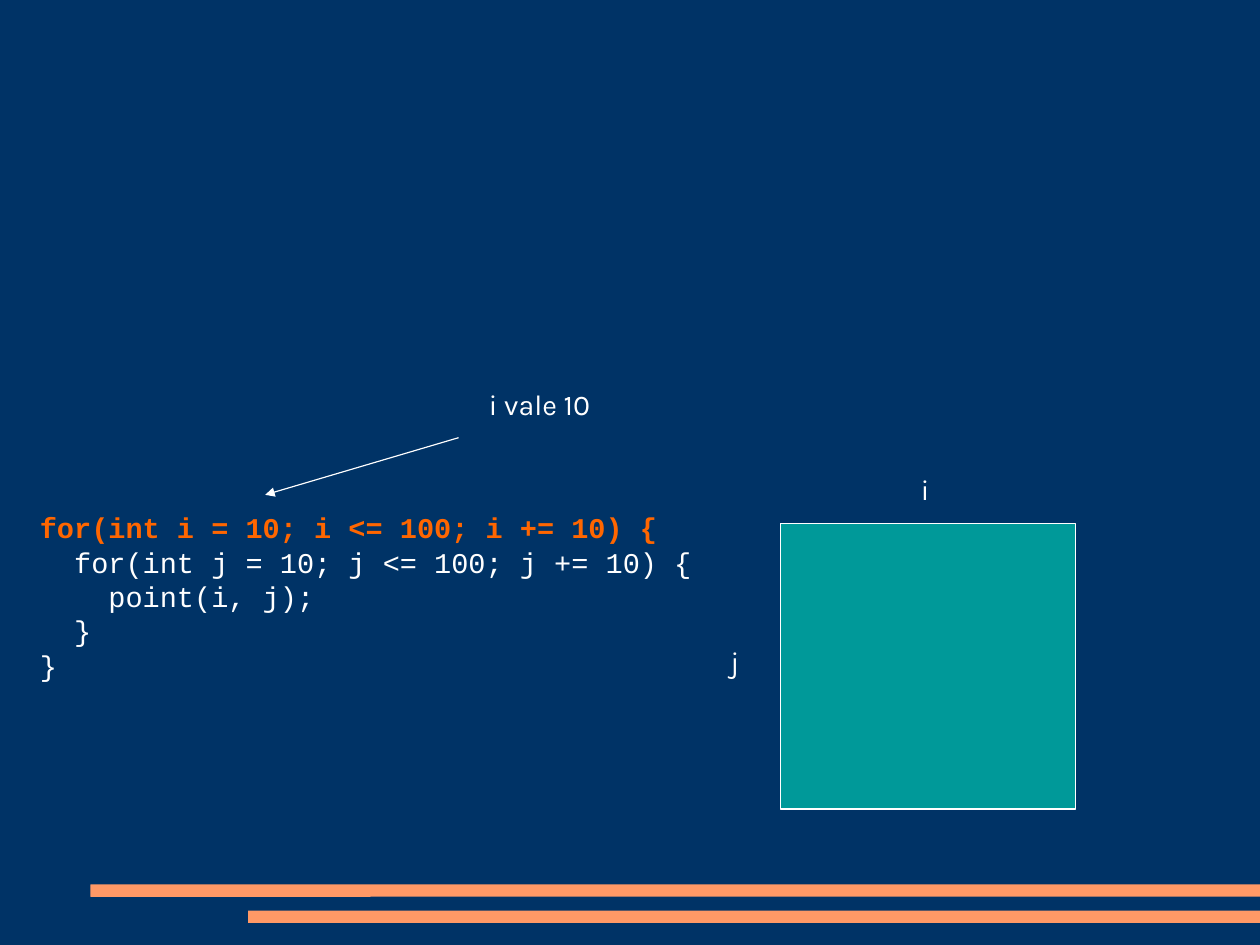
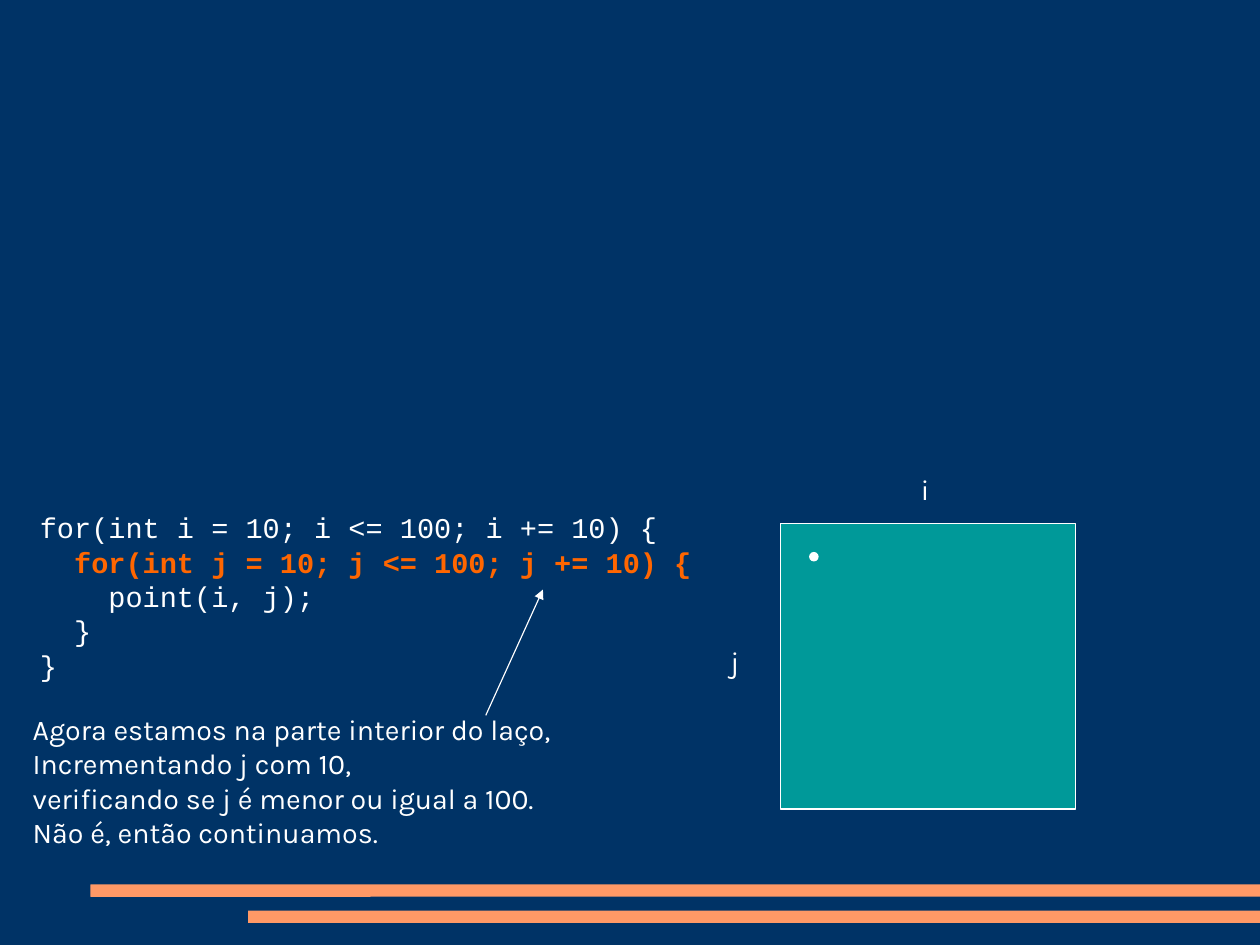
from dataclasses import dataclass

import pptx
import pptx.dml.color
import pptx.enum.shapes
import pptx.oxml
import pptx.oxml.ns
import pptx.util

SHAPE = pptx.enum.shapes.MSO_SHAPE


@dataclass(frozen=True)
class Theme:
    background: str = "003366"
    band: str = "FF9966"
    text: str = "FFFFFF"
    highlight: str = "FF6600"
    canvas: str = "009999"
    code_font: str = "Courier New"
    body_font: str = "Karla"
    size: int = 18
    line: float = 0.75


theme = Theme()
color = pptx.dml.color.RGBColor.from_string
CELL = pptx.util.Inches(1) / 12  # twelve grid columns or rows to the inch


def cells(*counts):
    """Turn counts of grid columns or rows into slide lengths."""
    return [round(count * CELL) for count in counts]


def add_text(slide, area, lines, face, highlighted=None):
    """Write one paragraph a line; the highlighted line is bold and orange."""
    frame = slide.shapes.add_textbox(*cells(*area)).text_frame
    frame.word_wrap = True
    frame.text = "\n".join(lines)
    for number, paragraph in enumerate(frame.paragraphs):
        marked = number == highlighted
        paragraph.font.name = face
        paragraph.font.size = pptx.util.Pt(theme.size)
        paragraph.font.bold = marked
        paragraph.font.color.rgb = color(theme.highlight if marked else theme.text)


code = [
    "for(int i = 10; i <= 100; i += 10) {",
    "  for(int j = 10; j <= 100; j += 10) {",
    "    point(i, j);",
    "  }",
    "}",
]
axes = {"i": (95.5, 49, 4.2, 4.8), "j": (75.5, 67, 4.2, 4.8)}
canvas_left, canvas_top = 81.95, 54.95

steps = [
    {
        "highlighted": 0,
        "note": ["i vale 10"],
        "note_area": (50.15, 40, 18.6, 4.8),
        "arrow": (48.15, 45.95, 27.85, 51.95),
        "points": [],
    },
    {
        "highlighted": 1,
        "note": [
            "Agora estamos na parte interior do laço,",
            "Incrementando j com 10,",
            "verificando se j é menor ou igual a 100.",
            "Não é, então continuamos.",
        ],
        "note_area": (2.25, 74.15, 76.4, 15.6),
        "arrow": (51, 75.1, 57, 61.9),
        "points": [(3, 3)],
    },
]

deck = pptx.Presentation()
deck.slide_width, deck.slide_height = pptx.util.Cm(28), pptx.util.Cm(21)
columns = deck.slide_width / CELL
master = deck.slide_master
master.background.fill.solid()
master.background.fill.fore_color.rgb = color(theme.background)
blank = deck.slide_layouts[6]
slides = [deck.slides.add_slide(blank) for step in steps]

# The bands are drawn once and moved to the master, which all slides share.
for number, (left, top) in enumerate([(9.5, 92.85), (26.05, 95.6)]):
    band = slides[0].shapes.add_shape(
        SHAPE.ROUNDED_RECTANGLE, *cells(left, top, columns - left, 1.3))
    band.adjustments[0] = 0.02
    band.shadow.inherit = False
    band.fill.solid()
    band.fill.fore_color.rgb = color(theme.band)
    band.line.fill.background()
    band.element.nvSpPr.cNvPr.id = 100 + number
    master.shapes.element.append(band.element)

for slide, step in zip(slides, steps):
    add_text(slide, (3, 53, 74, 19.2), code, theme.code_font, step["highlighted"])

    canvas = slide.shapes.add_shape(
        SHAPE.RECTANGLE, *cells(canvas_left, canvas_top, 31, 30))
    canvas.shadow.inherit = False
    canvas.fill.solid()
    canvas.fill.fore_color.rgb = color(theme.canvas)
    canvas.line.color.rgb = color(theme.text)
    canvas.line.width = pptx.util.Pt(theme.line)

    for axis, area in axes.items():
        add_text(slide, area, [axis], theme.body_font)
    add_text(slide, step["note_area"], step["note"], theme.body_font)

    arrow = slide.shapes.add_connector(
        pptx.enum.shapes.MSO_CONNECTOR.STRAIGHT, *cells(*step["arrow"]))
    arrow.line.color.rgb = color(theme.text)
    arrow.line.width = pptx.util.Pt(theme.line)
    head = pptx.oxml.parse_xml(
        f'<a:tailEnd {pptx.oxml.ns.nsdecls("a")} type="triangle"/>')
    arrow.line._get_or_add_ln().append(head)
    arrow.element.spPr.append(
        pptx.oxml.parse_xml(f'<a:effectLst {pptx.oxml.ns.nsdecls("a")}/>'))

    for column, row in step["points"]:
        point = slide.shapes.add_shape(
            SHAPE.OVAL, *cells(canvas_left + column, canvas_top + row, 1, 1))
        point.shadow.inherit = False
        point.fill.solid()
        point.fill.fore_color.rgb = color(theme.text)
        point.line.fill.background()

deck.save("out.pptx")
